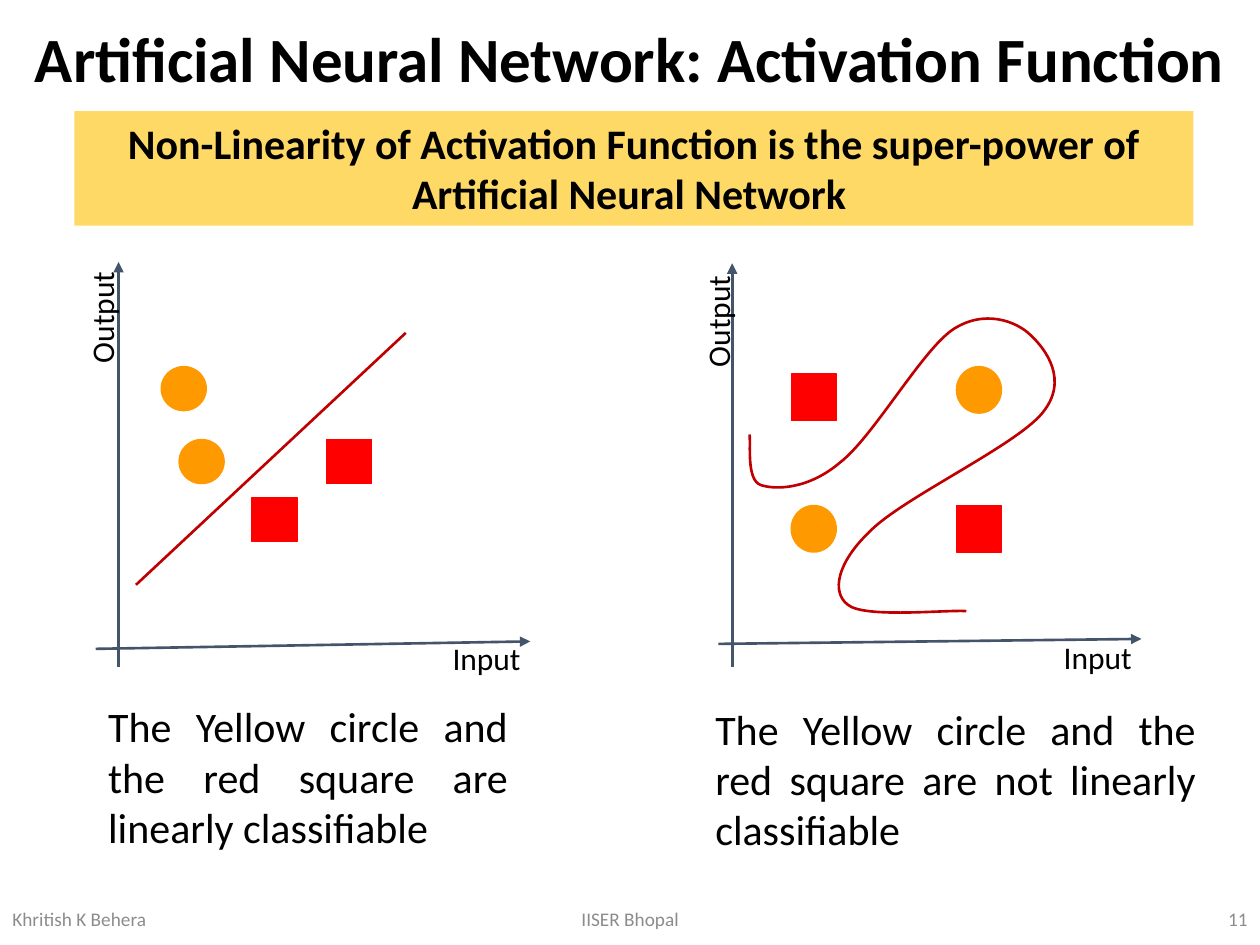
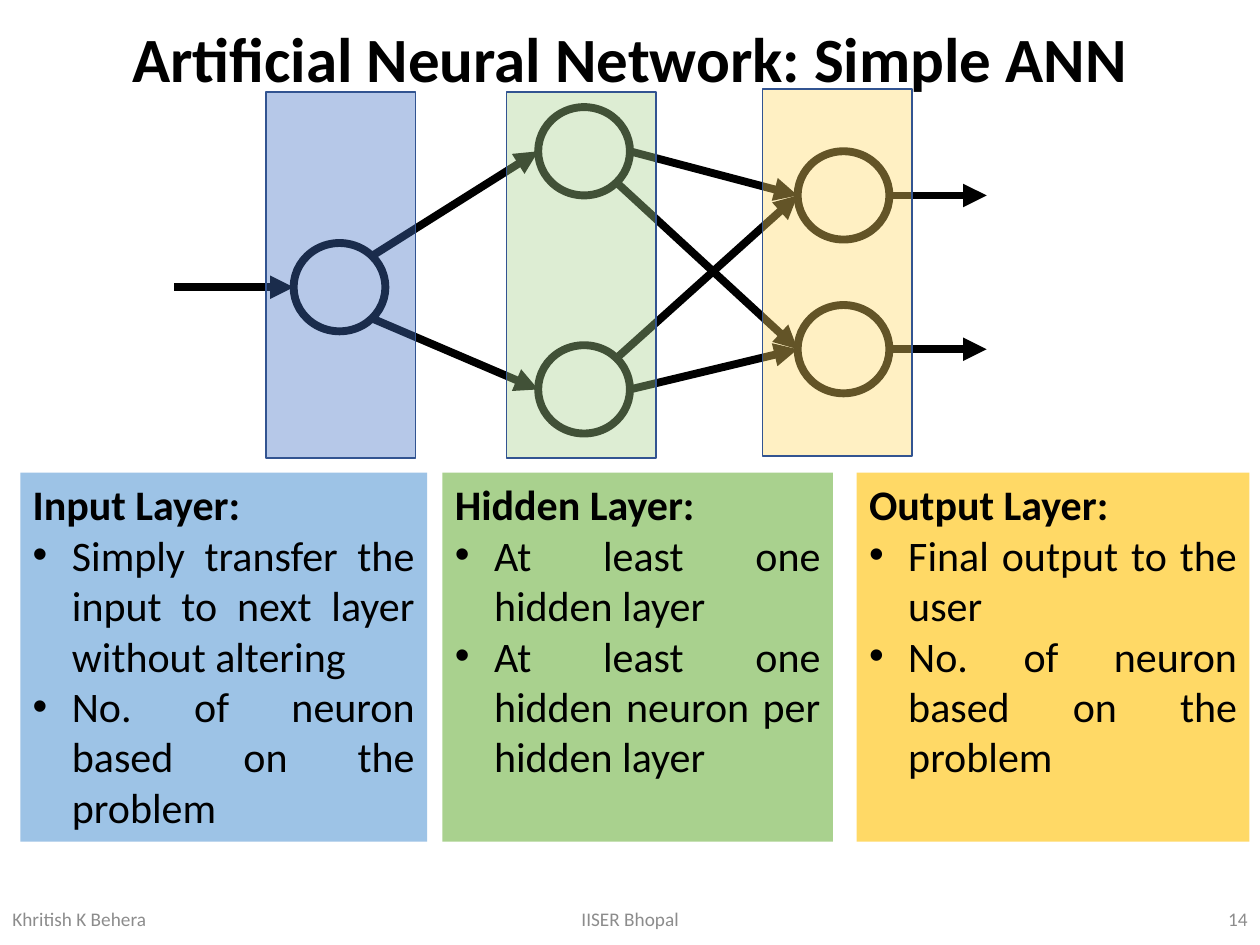
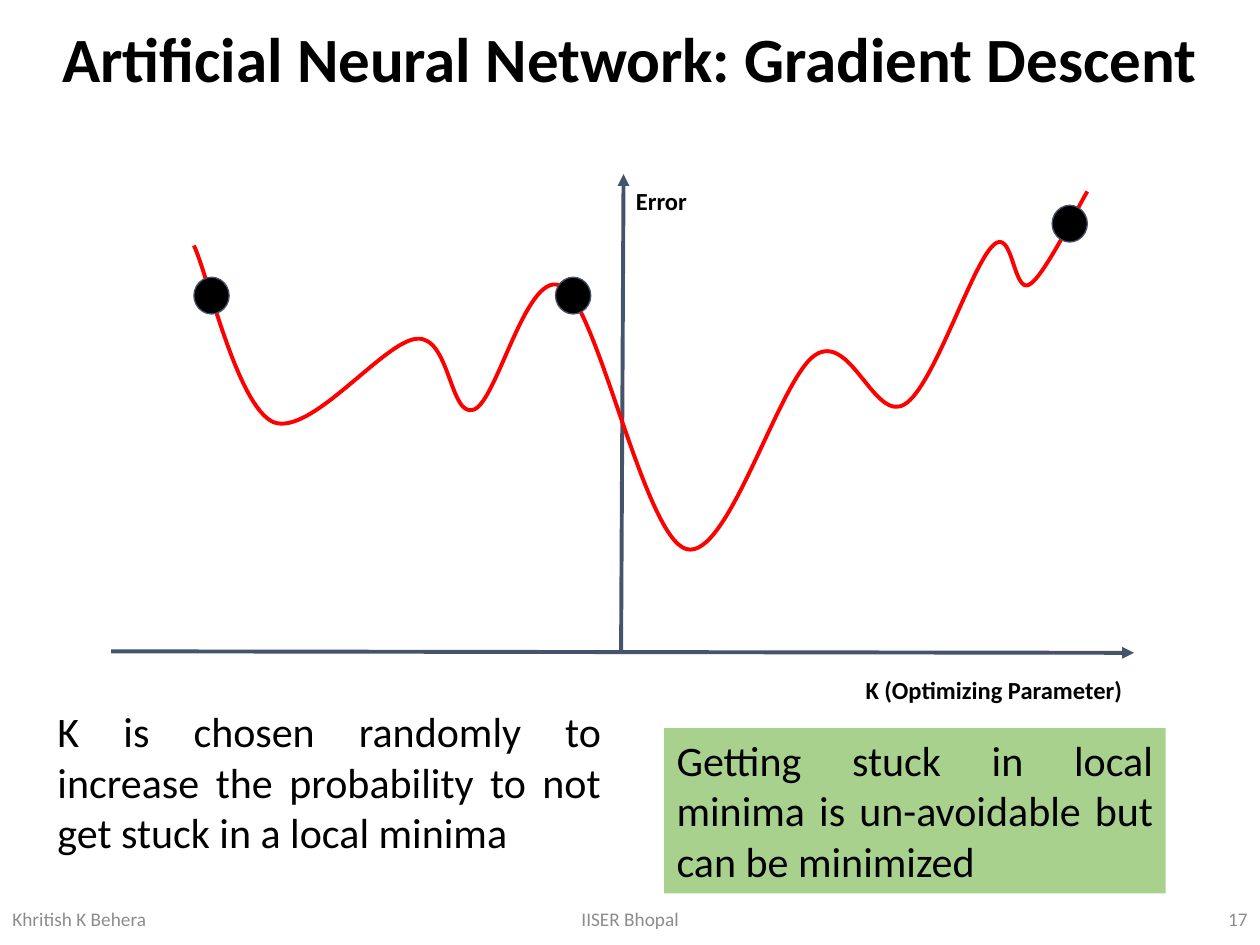
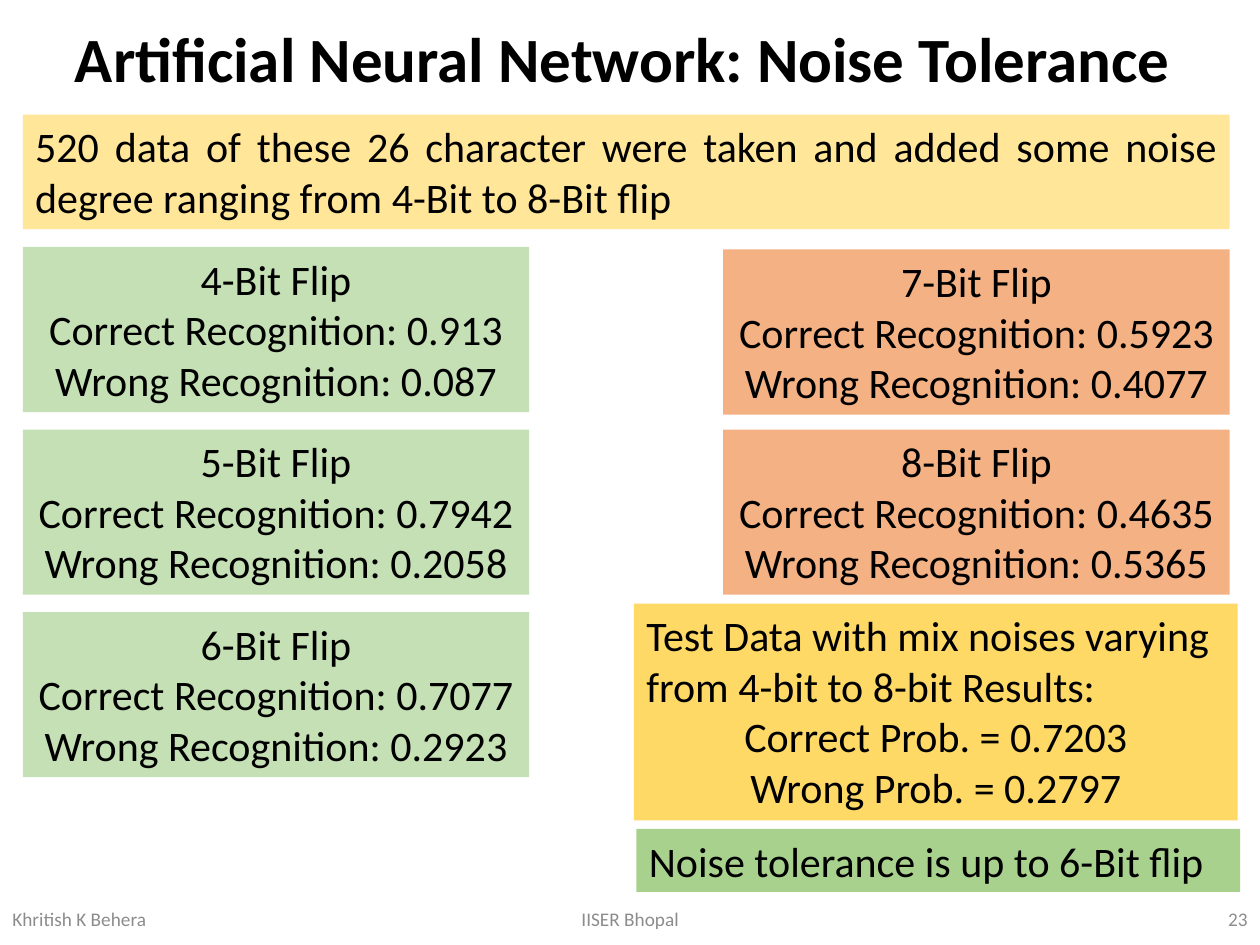
"""Build four slides on artificial neural networks."""
import math

from lxml import etree
from pptx import Presentation
from pptx import util as u
from pptx.dml import color
from pptx.enum import shapes, text
from pptx.oxml import ns

COLORS = {
    "black": "000000", "white": "FFFFFF", "footer": "8C8C8C", "axis": "44546A",
    "gold": "FFD966", "cream": "FFE699", "green": "A9D18E", "mint": "C5E0B4",
    "peach": "F4B183", "sky": "9DC3E6", "blue": "4472C4", "frame": "325491",
    "orange": "FF9900", "red": "FF0000", "crimson": "C00000",
}
ALIGN = text.PP_ALIGN
MIDDLE = text.MSO_ANCHOR.MIDDLE
OVAL = shapes.MSO_SHAPE.OVAL
RECT = shapes.MSO_SHAPE.RECTANGLE


def rgb(name):
    """Return the named colour."""
    return color.RGBColor.from_string(COLORS[name])


def write(p, content, size=24, bold=False, ink="black", align=ALIGN.LEFT,
          bullet=False, spacing=None):
    """Write formatted text into a paragraph."""
    p.alignment = align
    if spacing:
        p.line_spacing = spacing
    if bullet:
        pPr = p._p.get_or_add_pPr()
        indent = u.Cm(0.79)
        pPr.set("marL", str(indent))
        pPr.set("indent", str(-indent))
        etree.SubElement(pPr, ns.qn("a:buFont")).set("typeface", "Arial")
        etree.SubElement(pPr, ns.qn("a:buChar")).set("char", "•")
    r = p.add_run()
    r.text = content
    r.font.name = "Calibri"
    r.font.size = u.Pt(size)
    r.font.bold = bold
    r.font.color.rgb = rgb(ink)


class Deck:
    """Hold the shared style and the slide being drawn."""

    def __init__(self):
        """Start an empty 4:3 presentation."""
        self.prs = Presentation()
        self.prs.slide_width, self.prs.slide_height = u.Cm(25.4), u.Cm(19.05)
        self.s = None

    def slide(self, topic, number):
        """Add a slide with its title and footer."""
        self.s = self.prs.slides.add_slide(self.prs.slide_layouts[6])
        self.box(0, 0.03, 25.4, 2.44, f"Artificial Neural Network: {topic}",
                 anchor=MIDDLE, grow=False, size=36, bold=True,
                 align=ALIGN.CENTER, spacing=0.9)
        for x, w, content, align in ((0, 5.72, "Khritish K Behera", ALIGN.LEFT),
                                     (8.41, 8.59, "IISER Bhopal", ALIGN.CENTER),
                                     (19.68, 5.72, str(number), ALIGN.RIGHT)):
            self.box(x, 18.01, w, 1.02, content, anchor=MIDDLE, grow=False,
                     size=11, ink="footer", align=align)

    def box(self, x, y, w, h, *lines, fill=None, anchor=text.MSO_ANCHOR.TOP,
            grow=True, inset=None, turn=0, **fmt):
        """Add a text box; a line is text or a pair of text and its format."""
        sp = self.s.shapes.add_textbox(u.Cm(x), u.Cm(y), u.Cm(w), u.Cm(h))
        sp.rotation = turn
        if fill:
            sp.fill.solid()
            sp.fill.fore_color.rgb = rgb(fill)
        tf = sp.text_frame
        tf.word_wrap = True
        tf.vertical_anchor = anchor
        if grow:
            tf.auto_size = text.MSO_AUTO_SIZE.SHAPE_TO_FIT_TEXT
        if inset:
            tf.margin_top = tf.margin_bottom = u.Cm(inset)
        for i, line in enumerate(lines):
            content, own = (line, {}) if isinstance(line, str) else line
            p = tf.add_paragraph() if i else tf.paragraphs[0]
            write(p, content, **{**fmt, **own})

    def shape(self, kind, x, y, w, h, fill, line, width=0.75, alpha=None):
        """Add a filled preset shape, translucent if alpha is given."""
        sp = self.s.shapes.add_shape(kind, u.Cm(x), u.Cm(y), u.Cm(w), u.Cm(h))
        sp.shadow.inherit = False
        sp.fill.solid()
        sp.fill.fore_color.rgb = rgb(fill)
        if alpha:
            tint = sp.element.spPr.find(".//" + ns.qn("a:srgbClr"))
            etree.SubElement(tint, ns.qn("a:alpha")).set("val", str(alpha * 1000))
        sp.line.color.rgb = rgb(line)
        sp.line.width = u.Pt(width)

    def line(self, start, end, ink, width, arrow=True):
        """Add a straight line, with an arrowhead at its end by default."""
        c = self.s.shapes.add_connector(shapes.MSO_CONNECTOR.STRAIGHT,
                                        *map(u.Cm, (*start, *end)))
        c.line.color.rgb = rgb(ink)
        c.line.width = u.Pt(width)
        if arrow:
            ln = c.line._get_or_add_ln()
            etree.SubElement(ln, ns.qn("a:tailEnd")).set("type", "triangle")
        etree.SubElement(c._element.spPr, ns.qn("a:effectLst"))

    def curve(self, points, ink, width):
        """Add a Bézier curve: a start, then two handles and a knot per piece."""
        start, *rest = [(u.Cm(x), u.Cm(y)) for x, y in points]
        builder = self.s.shapes.build_freeform(*start)
        sp = builder.add_line_segments(rest, close=False).convert_to_shape()
        steps = list(sp.element.iter(ns.qn("a:lnTo")))
        for first, *others in zip(steps[::3], steps[1::3], steps[2::3]):
            first.tag = ns.qn("a:cubicBezTo")
            for step in others:
                first.append(step[0])
                step.getparent().remove(step)
        sp.shadow.inherit = False
        sp.fill.background()
        sp.line.color.rgb = rgb(ink)
        sp.line.width = u.Pt(width)


def activation(deck):
    """Compare linear and non-linear separation."""
    deck.slide("Activation Function", 11)
    deck.box(1.5, 2.24, 22.56, 2.31,
             "Non-Linearity of Activation Function is the super-power of "
             "Artificial Neural Network ",
             fill="gold", bold=True, align=ALIGN.CENTER)
    plots = (
        (((2.39, 13.44), (2.39, 5.28)), ((1.93, 13.08), (10.69, 12.93)),
         ((3.25, 7.39), (3.61, 8.86)), ((6.58, 8.86), (5.08, 10.03)), 0.89),
        (((14.76, 13.44), (14.76, 5.31)), ((14.48, 12.98), (23.01, 12.88)),
         ((19.28, 7.39), (15.95, 10.19)), ((15.95, 7.54), (19.28, 10.19)), 0.94),
    )
    for y_axis, x_axis, circles, squares, height in plots:
        for axis in (y_axis, x_axis):
            deck.line(*axis, "axis", 1.5)
        for kind, spots, fill in ((OVAL, circles, "orange"), (RECT, squares, "red")):
            for x, y in spots:
                deck.shape(kind, x, y, 0.91, height, fill, fill)
    deck.line((2.74, 11.79), (8.18, 6.71), "crimson", 1.5, arrow=False)
    deck.curve([(15.11, 8.76),
                (15.14, 8.94), (15.04, 9.68), (15.34, 9.78),
                (15.65, 9.88), (16.31, 9.86), (16.94, 9.32),
                (17.6, 8.81), (18.57, 7.09), (19.2, 6.65),
                (19.84, 6.22), (20.5, 6.48), (20.78, 6.76),
                (21.08, 7.04), (21.56, 7.67), (21.01, 8.33),
                (20.47, 8.99), (18.16, 10.06), (17.53, 10.72),
                (16.87, 11.35), (16.76, 11.94), (17.09, 12.19),
                (17.42, 12.47), (19.08, 12.29), (19.48, 12.32)], "crimson", 1.5)
    for x, y, w, verdict in ((1.93, 14, 8.56, "are"), (14.17, 14.05, 10.19, "are not")):
        deck.box(x, y, w, 3.33,
                 f"The Yellow circle and the red square {verdict} linearly classifiable",
                 align=ALIGN.JUSTIFY)
    for x, y in ((8.64, 12.75), (20.96, 12.73)):
        deck.box(x, y, 2.34, 1.02, "Input", size=18, align=ALIGN.CENTER)
    for x, y in ((0.69, 5.89), (13.11, 5.97)):
        deck.box(x, y, 2.72, 1.02, "Output", turn=270, size=18, align=ALIGN.CENTER)


def simple_ann(deck):
    """Draw a network of three layers and explain each."""
    deck.slide("Simple ANN", 14)
    w, h = 1.85, 1.78
    entry = (5.92, 4.9)
    hidden = ((10.85, 2.16), (10.85, 6.96))
    outputs = ((16.08, 3.05), (16.08, 6.15))

    def left(neuron):
        """Return the left end of a neuron."""
        return neuron[0], neuron[1] + h / 2

    def right(neuron, turn=0):
        """Return the right end of a neuron, turned by eighths of a circle."""
        angle = math.radians(45 * turn)
        return (neuron[0] + w / 2 * (1 + math.cos(angle)),
                neuron[1] + h / 2 * (1 + math.sin(angle)))

    for x, y in (entry, *hidden, *outputs):
        deck.shape(OVAL, x, y, w, h, "white", "black", 4.5)
    links = [((3.51, left(entry)[1]), left(entry))]
    for i, turn in enumerate((-1, 1)):
        links.append((right(entry, turn), left(hidden[i])))
        links.append((right(hidden[i]), left(outputs[i])))
        links.append((right(hidden[i], -turn), left(outputs[1 - i])))
        x, y = right(outputs[i])
        links.append(((x, y), (x + 1.96, y)))
    for start, end in links:
        deck.line(start, end, "black", 4.5)
    for x, y, fill in ((10.21, 1.85, "green"), (5.36, 1.85, "blue"), (15.37, 1.8, "gold")):
        deck.shape(RECT, x, y, 3.02, 7.39, fill, "frame", 1, alpha=39)
    panels = (
        (0.41, 8.2, "sky", "Input",
         "Simply transfer the input to next layer without altering",
         "No. of neuron based on the problem"),
        (8.92, 7.87, "green", "Hidden", "At least one hidden layer",
         "At least one hidden neuron per hidden layer"),
        (17.27, 7.92, "gold", "Output", "Final output to the user",
         "No. of neuron based on the problem"),
    )
    for x, width, fill, layer, *points in panels:
        deck.box(x, 9.53, width, 7.44, (f"{layer} Layer:", {"bold": True}),
                 *[(point, {"bullet": True}) for point in points],
                 fill=fill, align=ALIGN.JUSTIFY)


def gradient_descent(deck):
    """Plot an error curve with several minima."""
    deck.slide("Gradient Descent", 17)
    deck.line((2.24, 13.13), (22.86, 13.16), "axis", 2.25)
    deck.line((12.52, 13.13), (12.57, 3.51), "axis", 2.25)
    for x, y, w, label in ((12.57, 3.51, 1.65, "Error"),
                           (17.2, 13.36, 5.72, "K (Optimizing Parameter)")):
        deck.box(x, y, w, 1.12, label, inset=0.25, size=14, bold=True)
    deck.curve([(3.91, 4.95),
                (4.19, 5.54), (4.78, 8.18), (5.51, 8.51),
                (6.27, 8.81), (7.75, 6.86), (8.41, 6.83),
                (9.07, 6.78), (9.07, 8.43), (9.55, 8.26),
                (10.03, 8.1), (10.64, 5.31), (11.35, 5.79),
                (12.07, 6.25), (13, 10.85), (13.84, 11.07),
                (14.68, 11.3), (15.7, 7.65), (16.43, 7.16),
                (17.15, 6.68), (17.63, 8.53), (18.24, 8.15),
                (18.82, 7.8), (19.58, 5.36), (20.02, 4.95),
                (20.42, 4.55), (20.42, 5.92), (20.75, 5.74),
                (21.06, 5.56), (21.72, 4.19), (21.92, 3.86)], "red", 2.25)
    for x, y in ((3.91, 5.59), (11.2, 5.59), (21.21, 4.14)):
        deck.shape(OVAL, x, y, 0.71, 0.74, "black", "axis")
    deck.box(0.91, 14.1, 11.46, 3.33,
             "K is chosen randomly to increase the probability to not get stuck "
             "in a local minima", align=ALIGN.JUSTIFY)
    deck.box(13.39, 14.68, 10.11, 3.33,
             "Getting stuck in local minima is un-avoidable but can be minimized",
             fill="green", align=ALIGN.JUSTIFY)


def noise_tolerance(deck):
    """List recognition rates by number of flipped bits."""
    deck.slide("Noise Tolerance ", 23)
    centred = {"align": ALIGN.CENTER}
    deck.box(12.78, 12.17, 12.17, 4.37,
             "Test Data with mix noises varying from 4-bit to 8-bit Results:",
             ("Correct Prob. = 0.7203", centred), ("Wrong Prob. = 0.2797", centred),
             fill="gold")
    deck.box(12.83, 16.71, 12.17, 1.27, "Noise tolerance is up to 6-Bit flip",
             fill="green")
    deck.box(0.46, 2.31, 24.33, 2.31,
             "520 data of these 26 character were taken and added some noise "
             "degree ranging from 4-Bit to 8-Bit flip",
             fill="cream", align=ALIGN.JUSTIFY)
    flips = ((0.46, 4.98, "mint", "0.913", "0.087"),
             (0.46, 8.66, "mint", "0.7942", "0.2058"),
             (0.46, 12.34, "mint", "0.7077", "0.2923"),
             (14.58, 5.03, "peach", "0.5923", "0.4077"),
             (14.58, 8.66, "peach", "0.4635", "0.5365"))
    for bits, (x, y, fill, correct, wrong) in enumerate(flips, 4):
        deck.box(x, y, 10.21, 3.33, f"{bits}-Bit Flip",
                 f"Correct Recognition: {correct}", f"Wrong Recognition: {wrong}",
                 fill=fill, **centred)


def main():
    """Build and save the deck."""
    deck = Deck()
    for build in (activation, simple_ann, gradient_descent, noise_tolerance):
        build(deck)
    deck.prs.save("out.pptx")


if __name__ == "__main__":
    main()
